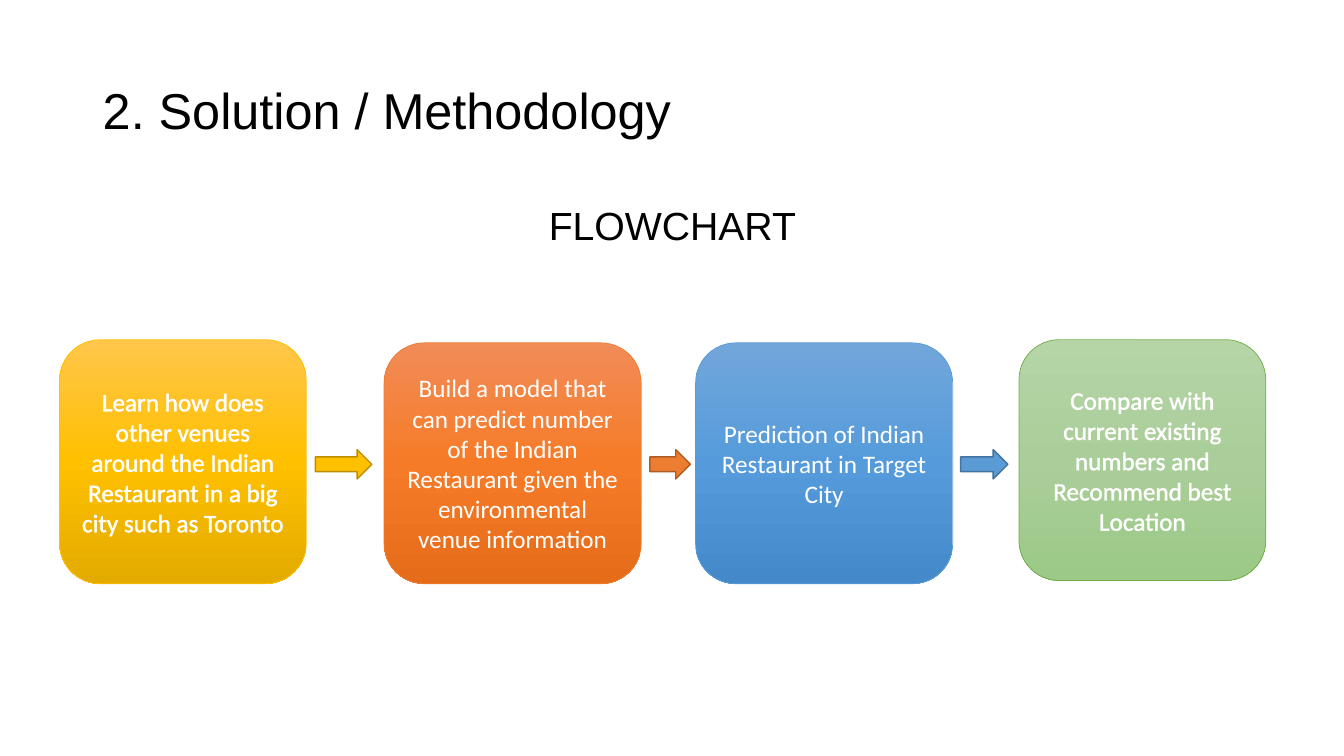
from copy import deepcopy
from dataclasses import dataclass

from lxml import etree
from pptx import Presentation
from pptx.dml.color import RGBColor
from pptx.enum.shapes import MSO_SHAPE
from pptx.enum.text import MSO_ANCHOR, PP_ALIGN
from pptx.oxml.ns import qn
from pptx.util import Cm, Pt

ROUNDED = MSO_SHAPE.ROUNDED_RECTANGLE
ARROW = MSO_SHAPE.RIGHT_ARROW
MIDDLE, TOP = MSO_ANCHOR.MIDDLE, MSO_ANCHOR.TOP
CENTER, LEFT = PP_ALIGN.CENTER, PP_ALIGN.LEFT

BLACK = RGBColor(0x00, 0x00, 0x00)
WHITE = RGBColor(0xFF, 0xFF, 0xFF)
GOLD = RGBColor(0xFF, 0xC0, 0x00)
GOLD_LIGHT = RGBColor(0xFF, 0xC6, 0x4B)
GOLD_DEEP = RGBColor(0xE3, 0xAB, 0x00)
GOLD_EDGE = RGBColor(0xBD, 0x8E, 0x00)
ORANGE = RGBColor(0xED, 0x7D, 0x31)
ORANGE_LIGHT = RGBColor(0xF1, 0x8C, 0x57)
ORANGE_MID = RGBColor(0xF6, 0x7B, 0x28)
ORANGE_DEEP = RGBColor(0xE5, 0x6C, 0x19)
ORANGE_EDGE = RGBColor(0xAF, 0x5C, 0x24)
BLUE = RGBColor(0x5B, 0x9B, 0xD5)
BLUE_LIGHT = RGBColor(0x71, 0xA6, 0xDB)
BLUE_MID = RGBColor(0x55, 0x9B, 0xDB)
BLUE_DEEP = RGBColor(0x44, 0x8A, 0xCA)
BLUE_EDGE = RGBColor(0x43, 0x73, 0x9E)
GREEN = RGBColor(0x70, 0xAD, 0x47)
GREEN_LIGHT = RGBColor(0xB5, 0xD5, 0xA7)
GREEN_MID = RGBColor(0xAA, 0xCE, 0x9A)
GREEN_DEEP = RGBColor(0x9C, 0xC9, 0x87)

ARROW_TOP, ARROW_HEIGHT = 11.33, 0.74


@dataclass
class Step:
    text: str
    left: float
    top: float
    width: float
    height: float
    gradient: tuple[RGBColor, RGBColor, RGBColor]
    line: RGBColor
    outlined: bool = False


@dataclass
class Arrow:
    left: float
    width: float
    fill: RGBColor
    line: RGBColor


STEPS = [
    Step("Learn how does other venues around the Indian Restaurant in a big city such as Toronto",
         1.5, 8.56, 6.22, 6.15, (GOLD_LIGHT, GOLD, GOLD_DEEP), GOLD, True),
    Step("Build a model that can predict number of the Indian Restaurant given the "
         "environmental venue information",
         9.68, 8.64, 6.48, 6.07, (ORANGE_LIGHT, ORANGE_MID, ORANGE_DEEP), ORANGE),
    Step("Prediction of Indian Restaurant in Target City",
         17.53, 8.64, 6.48, 6.07, (BLUE_LIGHT, BLUE_MID, BLUE_DEEP), BLUE),
    Step("Compare with current existing numbers and Recommend best Location",
         25.68, 8.56, 6.22, 6.07, (GREEN_LIGHT, GREEN_MID, GREEN_DEEP), GREEN, True),
]

ARROWS = [
    Arrow(7.95, 1.42, GOLD, GOLD_EDGE),
    Arrow(16.38, 1.02, ORANGE, ORANGE_EDGE),
    Arrow(24.21, 1.19, BLUE, BLUE_EDGE),
]


def write(sp, text: str, font: str, size: float, color: RGBColor, align, anchor):
    tf = sp.text_frame
    tf.word_wrap = True
    tf.vertical_anchor = anchor
    p = tf.paragraphs[0]
    p.alignment = align
    p.font.name = font
    p.font.size = Pt(size)
    p.font.color.rgb = color
    p.add_run().text = text
    return p


def add_heading(s, text: str, top: float, height: float, size: float, align, anchor):
    sp = s.shapes.add_textbox(Cm(2.34), Cm(top), Cm(29.21), Cm(height))
    p = write(sp, text, "Arial", size, BLACK, align, anchor)
    p.line_spacing = 0.9
    return p


def fill_gradient(sp, colors: tuple[RGBColor, ...]) -> None:
    sp.fill.gradient()
    sp.fill.gradient_angle = 270
    stop_list = sp._element.spPr.find(qn("a:gradFill")).find(qn("a:gsLst"))
    stop_list.append(deepcopy(stop_list[0]))
    for i, (stop, color) in enumerate(zip(sp.fill.gradient_stops, colors)):
        stop.position = i / (len(colors) - 1)
        stop.color.rgb = color


def outline_text(r, color: RGBColor, width: float) -> None:
    ln = etree.Element(qn("a:ln"), w=str(Pt(width)))
    solid = etree.SubElement(ln, qn("a:solidFill"))
    etree.SubElement(solid, qn("a:srgbClr"), val=str(color))
    r._r.get_or_add_rPr().insert(0, ln)


def add_step(s, step: Step) -> None:
    sp = s.shapes.add_shape(ROUNDED, Cm(step.left), Cm(step.top), Cm(step.width), Cm(step.height))
    sp.shadow.inherit = False
    fill_gradient(sp, step.gradient)
    sp.line.color.rgb = step.line
    sp.line.width = Pt(0.5)
    p = write(sp, step.text, "Calibri", 18, WHITE, CENTER, MIDDLE)
    if step.outlined:
        outline_text(p.runs[0], WHITE, 0.75)


def add_arrow(s, arrow: Arrow) -> None:
    sp = s.shapes.add_shape(ARROW, Cm(arrow.left), Cm(ARROW_TOP), Cm(arrow.width), Cm(ARROW_HEIGHT))
    sp.shadow.inherit = False
    sp.fill.solid()
    sp.fill.fore_color.rgb = arrow.fill
    sp.line.color.rgb = arrow.line
    sp.line.width = Pt(1)


def main() -> None:
    prs = Presentation()
    prs.slide_width, prs.slide_height = Cm(33.87), Cm(19.05)
    s = prs.slides.add_slide(prs.slide_layouts[6])

    # Headings
    add_heading(s, "2. Solution / Methodology", 1.02, 3.68, 36, LEFT, MIDDLE)
    p = add_heading(s, "FLOWCHART", 5.08, 12.09, 28, CENTER, TOP)
    p.space_before = Pt(10)

    # Flowchart
    for step in STEPS:
        add_step(s, step)
    for arrow in ARROWS:
        add_arrow(s, arrow)

    prs.save("out.pptx")


if __name__ == "__main__":
    main()
